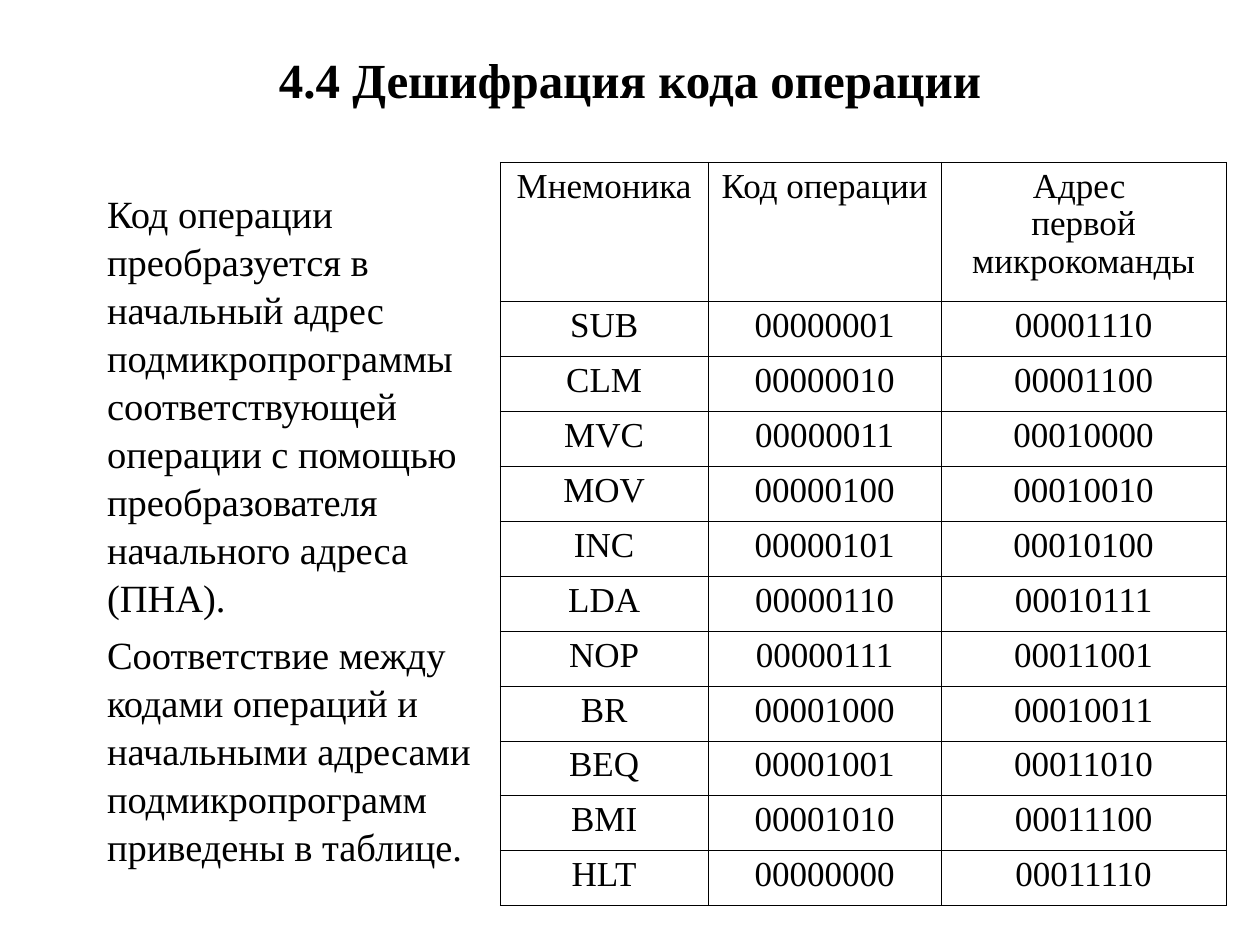
import pptx
import pptx.dml.color
import pptx.enum.text
import pptx.oxml
import pptx.oxml.ns
import pptx.util

FONT = "Times New Roman"
INK = "000000"
PAPER = "FFFFFF"
TITLE = "4.4 Дешифрация кода операции"
EXPLANATION = [
    "Код операции преобразуется в начальный адрес подмикропрограммы "
    "соответствующей операции с помощью преобразователя начального адреса (ПНА).",
    "Соответствие между кодами операций и начальными адресами "
    "подмикропрограмм приведены в таблице.",
]
HEADER = ("Мнемоника", "Код операции", "Адрес \nпервой микрокоманды")
OPERATIONS = [
    ("SUB", "00000001", "00001110"),
    ("CLM", "00000010", "00001100"),
    ("MVC", "00000011", "00010000"),
    ("MOV", "00000100", "00010010"),
    ("INC", "00000101", "00010100"),
    ("LDA", "00000110", "00010111"),
    ("NOP", "00000111", "00011001"),
    ("BR", "00001000", "00010011"),
    ("BEQ", "00001001", "00011010"),
    ("BMI", "00001010", "00011100"),
    ("HLT", "00000000", "00011110"),
]
COLUMN_WIDTHS = (1.65, 1.85, 2.26)
HEADER_HEIGHT = 1.1


def color(code):
    """Turn a hex string into a colour."""
    return pptx.dml.color.RGBColor.from_string(code)


def place(shape, box):
    """Move a shape to a box of left, top, width and height in inches."""
    shape.left, shape.top, shape.width, shape.height = map(pptx.util.Inches, box)


def write(para, text, size, bold=False):
    """Write formatted text, with a line break for each newline."""
    for index, line in enumerate(text.split("\n")):
        if index:
            para.add_line_break()
        span = para.add_run()
        span.text = line
        span.font.name = FONT
        span.font.size = pptx.util.Pt(size)
        span.font.bold = bold
        span.font.color.rgb = color(INK)


def set_frame(frame, anchor):
    """Give a text frame wrapping, fixed size and an anchor."""
    frame.word_wrap = True
    frame.auto_size = pptx.enum.text.MSO_AUTO_SIZE.NONE
    frame.vertical_anchor = anchor


def add_title(page, box):
    """Fill the title placeholder."""
    title = page.shapes.title
    place(title, box)
    set_frame(title.text_frame, pptx.enum.text.MSO_ANCHOR.MIDDLE)
    para = title.text_frame.paragraphs[0]
    para.alignment = pptx.enum.text.PP_ALIGN.CENTER
    write(para, TITLE, 28, bold=True)


def add_explanation(page, box):
    """Fill the body placeholder with indented paragraphs without bullets."""
    body = page.placeholders[1]
    place(body, box)
    frame = body.text_frame
    set_frame(frame, pptx.enum.text.MSO_ANCHOR.TOP)
    for index, text in enumerate(EXPLANATION):
        para = frame.add_paragraph() if index else frame.paragraphs[0]
        properties = para._p.get_or_add_pPr()
        properties.set("marL", str(pptx.util.Inches(0.38)))
        properties.set("indent", "0")
        properties.append(pptx.oxml.parse_xml(
            f'<a:buNone {pptx.oxml.ns.nsdecls("a")}/>'))
        para.space_before = pptx.util.Pt(5.5 if index else 0)
        para.line_spacing = 1.04
        write(para, text, 22)


def set_borders(cell, top_width):
    """Draw the four borders of a cell."""
    properties = cell._tc.get_or_add_tcPr()
    widths = {"lnL": 0.45, "lnR": 0.45, "lnT": top_width, "lnB": 0.45}
    for position, (side, width) in enumerate(widths.items()):
        properties.insert(position, pptx.oxml.parse_xml(
            f'<a:{side} {pptx.oxml.ns.nsdecls("a")} w="{pptx.util.Pt(width)}">'
            f'<a:solidFill><a:srgbClr val="{INK}"/></a:solidFill></a:{side}>'))


def add_operations(page, box):
    """Add the table of operation codes and start addresses."""
    rows = [HEADER, *OPERATIONS]
    frame = page.shapes.add_table(
        len(rows), len(HEADER), *map(pptx.util.Inches, box))
    table = frame.table
    table.first_row = table.horz_banding = False
    for column, width in zip(table.columns, COLUMN_WIDTHS):
        column.width = pptx.util.Inches(width)
    row_height = (box[3] - HEADER_HEIGHT) / len(OPERATIONS)
    for row_index, values in enumerate(rows):
        height = row_height if row_index else HEADER_HEIGHT
        table.rows[row_index].height = pptx.util.Inches(height)
        for column_index, text in enumerate(values):
            cell = table.cell(row_index, column_index)
            cell.fill.solid()
            cell.fill.fore_color.rgb = color(PAPER)
            set_borders(cell, 0.45 if row_index else 0.96)
            para = cell.text_frame.paragraphs[0]
            para.alignment = pptx.enum.text.PP_ALIGN.CENTER
            para.line_spacing = 0.96
            write(para, text, 20)


def main():
    """Build and save the slide."""
    deck = pptx.Presentation()
    deck.slide_width = pptx.util.Inches(10)
    deck.slide_height = pptx.util.Inches(7.5)
    page = deck.slides.add_slide(deck.slide_layouts[1])
    add_title(page, (0.5, 0.21, 9, 0.84))
    add_explanation(page, (0.37, 1.44, 3.61, 5.61))
    add_operations(page, (3.97, 1.29, sum(COLUMN_WIDTHS), 5.9))
    deck.save("out.pptx")


if __name__ == "__main__":
    main()
